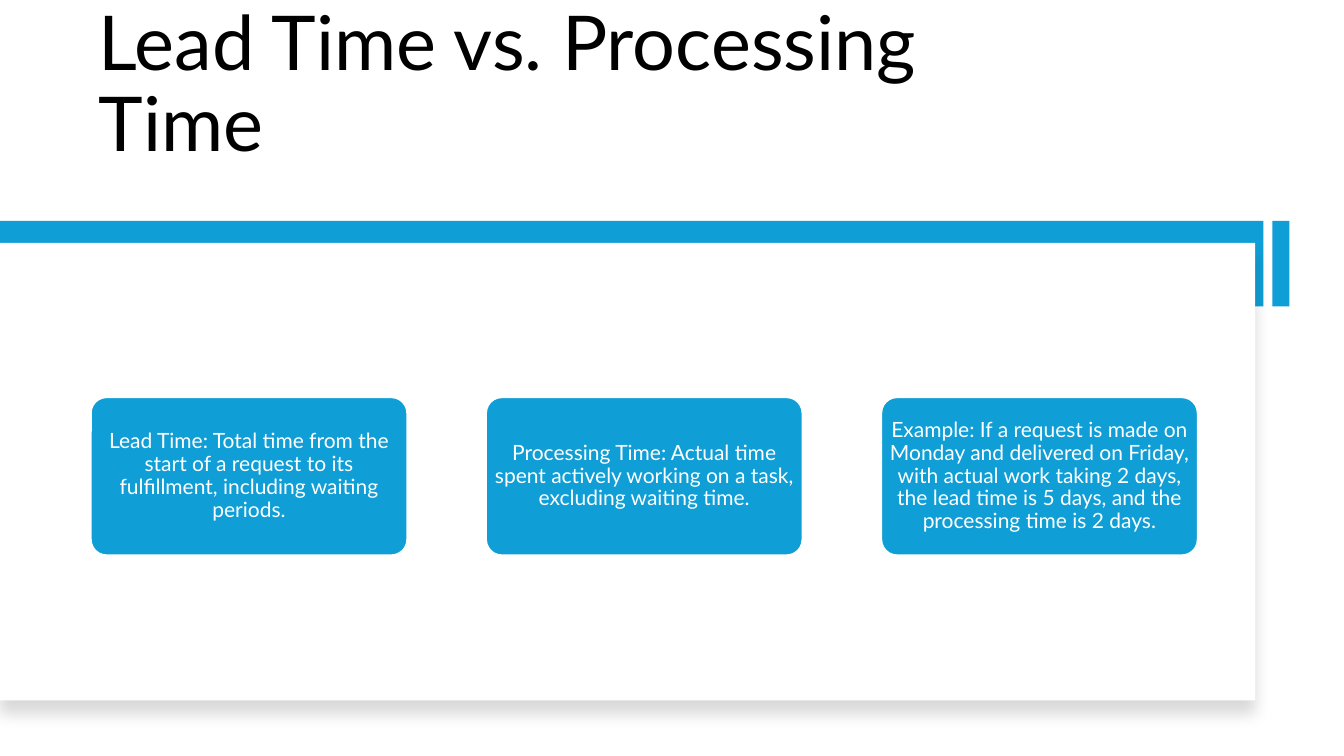
from dataclasses import dataclass

from lxml import etree
from pptx import Presentation
from pptx import util as u
from pptx.dml.color import RGBColor
from pptx.enum import shapes, text
from pptx.oxml import ns

PX = u.Inches(0.01)


@dataclass(frozen=True)
class Theme:
    accent: str = "0F9ED5"
    paper: str = "FFFFFF"
    ink: str = "000000"
    face: str = "Lato"
    title_size: int = 54
    card_size: int = 15


theme = Theme()
deck = Presentation()
deck.slide_width, deck.slide_height = 1333 * PX, 750 * PX
page = deck.slides.add_slide(deck.slide_layouts[5])


def write(box, words, *, size, color, align, anchor, insets):
    frame = box.text_frame
    frame.word_wrap = True
    frame.auto_size = text.MSO_AUTO_SIZE.NONE
    frame.vertical_anchor = anchor
    across, down = (inset * PX for inset in insets)
    frame.margin_left = frame.margin_right = across
    frame.margin_top = frame.margin_bottom = down
    para = frame.paragraphs[0]
    para.alignment = align
    para.line_spacing = 0.9
    para.space_before = u.Pt(0)
    span = para.add_run()
    span.text = words
    span.font.name = theme.face
    span.font.size = u.Pt(size)
    span.font.color.rgb = RGBColor.from_string(color)


def add_block(kind, left, top, width, height, fill):
    """Add a filled shape, in px, with neither outline nor shadow."""
    block = page.shapes.add_shape(kind, left * PX, top * PX, width * PX, height * PX)
    block.shadow.inherit = False
    block.fill.solid()
    block.fill.fore_color.rgb = RGBColor.from_string(fill)
    block.line.fill.background()
    return block


# Title
title = page.shapes.title
title.left, title.top, title.width, title.height = 88 * PX, 42 * PX, 1010 * PX, 130 * PX
write(title, "Lead Time vs. Processing Time", size=theme.title_size, color=theme.ink,
      align=text.PP_ALIGN.LEFT, anchor=text.MSO_ANCHOR.BOTTOM, insets=(10, 5))

# Accent band, its end mark and the white panel over it
rectangle = shapes.MSO_SHAPE.RECTANGLE
add_block(rectangle, 1262, 219, 17, 85, theme.accent)
add_block(rectangle, 0, 219, 1253, 85, theme.accent)
panel = add_block(rectangle, 0, 241, 1245, 454, theme.paper)

# Soft shadow below the panel
effects = panel._element.spPr.find(ns.qn("a:effectLst"))
shadow = etree.SubElement(effects, ns.qn("a:outerShdw"), blurRad=str(u.Pt(11)),
                          dist=str(u.Pt(10)), dir="5400000", algn="t", rotWithShape="0")
tint = etree.SubElement(shadow, ns.qn("a:srgbClr"), val=theme.ink)
etree.SubElement(tint, ns.qn("a:alpha"), val="15000")

# Cards
card_texts = [
    "Lead Time: Total time from the start of a request to its fulfillment, "
    "including waiting periods.",
    "Processing Time: Actual time spent actively working on a task, "
    "excluding waiting time.",
    "Example: If a request is made on Monday and delivered on Friday, with actual work "
    "taking 2 days, the lead time is 5 days, and the processing time is 2 days.",
]
card_left, card_width, card_gap = 90, 314, 78
for index, words in enumerate(card_texts):
    card = add_block(shapes.MSO_SHAPE.ROUNDED_RECTANGLE,
                     card_left + index * (card_width + card_gap), 394,
                     card_width, 157, theme.accent)
    card.adjustments[0] = 0.1
    card.line.color.rgb = RGBColor.from_string(theme.paper)
    card.line.width = u.Pt(1.5)
    write(card, words, size=theme.card_size, color=theme.paper,
          align=text.PP_ALIGN.CENTER, anchor=text.MSO_ANCHOR.MIDDLE, insets=(3, 2))

deck.save("out.pptx")
